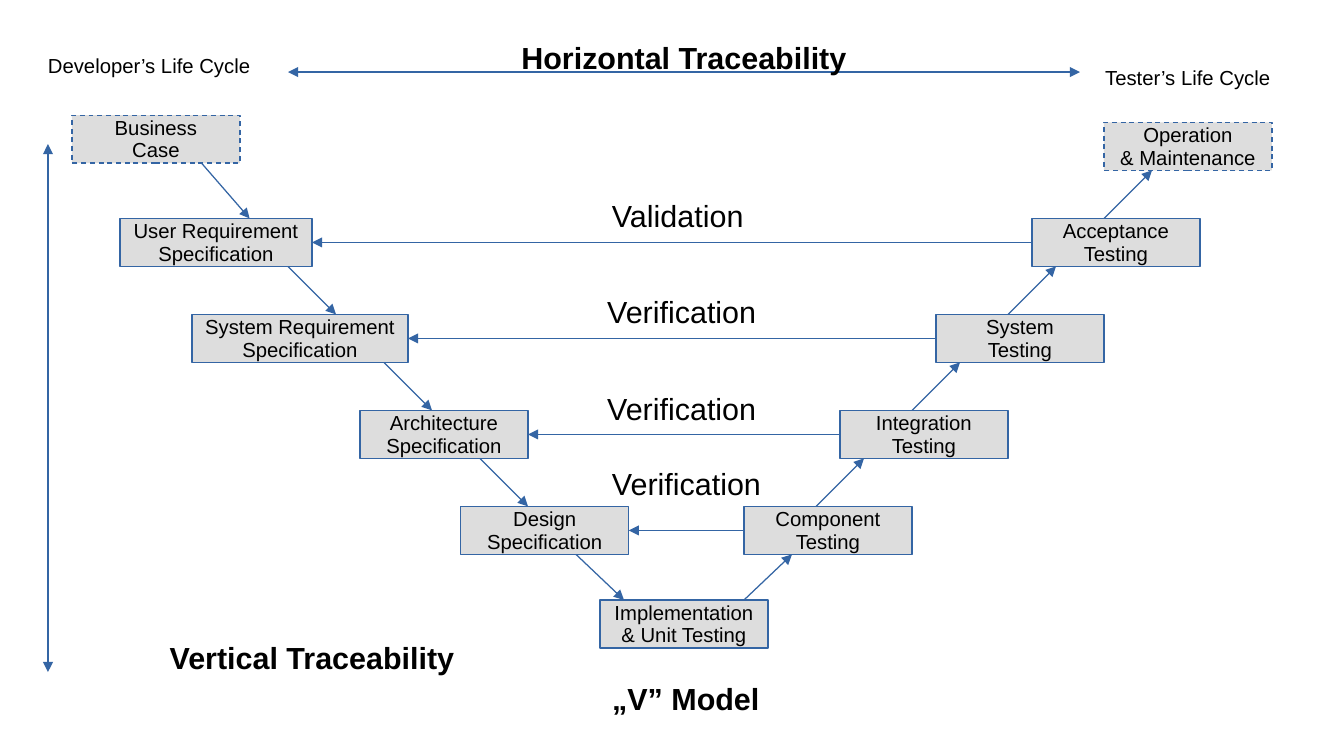
from dataclasses import dataclass

from lxml.etree import SubElement
from pptx import Presentation
from pptx.dml.color import RGBColor
from pptx.enum.dml import MSO_LINE_DASH_STYLE as Dash
from pptx.enum.shapes import MSO_CONNECTOR as Connector, MSO_SHAPE as Shape
from pptx.enum.text import MSO_ANCHOR as Anchor, MSO_AUTO_SIZE as AutoSize, PP_ALIGN as Align
from pptx.oxml.ns import qn
from pptx.util import Cm, Inches, Pt

COLUMNS, ROWS = 56, 31.5  # square grid cells of half a centimetre
LEFT, RIGHT = 1, 3  # connection sites of a rectangle


@dataclass(frozen=True)
class Theme:
    font: str = "Arial"
    ink: RGBColor = RGBColor(0x00, 0x00, 0x00)
    box: RGBColor = RGBColor(0xDD, 0xDD, 0xDD)
    line: RGBColor = RGBColor(0x34, 0x65, 0xA4)
    small: float = 12
    large: float = 18
    line_width: float = 0.75
    line_spacing: float = 0.93


def grid(*cells):
    return [Cm(cell / 2) for cell in cells]


class Diagram:
    def __init__(self, slide, theme):
        self.slide, self.theme = slide, theme

    def set_text(self, shape, text, size, align, anchor, bold=False):
        frame = shape.text_frame
        frame.text = text
        frame.word_wrap = True
        frame.auto_size = AutoSize.NONE
        frame.vertical_anchor = anchor
        frame.margin_left = frame.margin_right = Inches(0.1)
        frame.margin_top = Inches(0.07 if size == self.theme.large else 0.06)
        frame.margin_bottom = Inches(0.05)
        for paragraph in frame.paragraphs:
            paragraph.alignment = align
            paragraph.line_spacing = self.theme.line_spacing
            font = paragraph.font
            font.name, font.size, font.bold = self.theme.font, Pt(size), bold
            font.color.rgb = self.theme.ink

    def stroke(self, line):
        line.color.rgb = self.theme.line
        line.width = Pt(self.theme.line_width)

    def title(self, text, column, row, width, height):
        shape = self.slide.shapes.title
        shape.left, shape.top, shape.width, shape.height = grid(column, row, width, height)
        self.set_text(shape, text, self.theme.large, Align.LEFT, Anchor.TOP, bold=True)

    def label(self, text, column, row, width, size, align=Align.LEFT, bold=False):
        shape = self.slide.shapes.add_textbox(*grid(column, row, width, 2))
        self.set_text(shape, text, size, align, Anchor.TOP, bold)

    def box(self, text, column, row, width=7, dashed=False):
        shape = self.slide.shapes.add_shape(Shape.RECTANGLE, *grid(column, row, width, 2))
        shape.shadow.inherit = False
        shape.fill.solid()
        shape.fill.fore_color.rgb = self.theme.box
        self.stroke(shape.line)
        if dashed:
            shape.line.dash_style = Dash.DASH
        self.set_text(shape, text, self.theme.small, Align.CENTER, Anchor.MIDDLE)
        return shape

    def arrow(self, start=(0, 0), end=(0, 0), both=False):
        connector = self.slide.shapes.add_connector(Connector.STRAIGHT, *grid(*start, *end))
        self.stroke(connector.line)
        properties = connector.element.spPr
        outline = properties.find(qn("a:ln"))
        for tip in ("a:headEnd", "a:tailEnd") if both else ("a:tailEnd",):
            SubElement(outline, qn(tip), type="triangle")
        SubElement(properties, qn("a:effectLst"))
        return connector

    def trace(self, test, specification):
        connector = self.arrow()
        connector.begin_connect(test, LEFT)
        connector.end_connect(specification, RIGHT)


def main():
    presentation = Presentation()
    presentation.slide_width, presentation.slide_height = grid(COLUMNS, ROWS)
    slide = presentation.slides.add_slide(presentation.slide_layouts[5])
    theme = Theme()
    diagram = Diagram(slide, theme)

    # Rows of the V, from the life cycle ends down to the tip
    levels = [9.1 + 4 * level for level in range(4)]
    tip_row = 25
    left_rows = [4.8, *levels, tip_row]
    right_rows = [5.1, *levels, tip_row]

    # Boxes
    diagram.box("Business\nCase", 3, left_rows[0], dashed=True)
    diagram.box("Operation\n& Maintenance", 46, right_rows[0], dashed=True)
    diagram.box("Implementation\n& Unit Testing", 25, tip_row)
    specifications = [
        diagram.box(text, column, row, width)
        for row, (text, column, width) in zip(levels, [
            ("User Requirement Specification", 5, 8),
            ("System Requirement Specification", 8, 9),
            ("Architecture Specification", 15, 7),
            ("Design Specification", 19.2, 7),
        ])
    ]
    tests = [
        diagram.box(text, 43 - 4 * level, row)
        for level, (row, text) in enumerate(zip(levels, [
            "Acceptance\nTesting", "System\nTesting", "Integration\nTesting", "Component Testing",
        ]))
    ]

    # Arrows down the left arm and up the right arm
    for column, upper, lower in zip([8.4, 12, 16, 20, 24], left_rows, left_rows[1:]):
        diagram.arrow((column, upper + 2), (column + 2, lower))
    for column, upper, lower in zip([46, 42, 38, 34, 31], right_rows, right_rows[1:]):
        diagram.arrow((column, lower), (column + 2, upper + 2))

    # Traces from each test back to its specification
    for test, specification in zip(tests, specifications):
        diagram.trace(test, specification)
    for text, column, row in [
        ("Validation", 25, 8),
        ("Verification", 24.8, 12),
        ("Verification", 24.8, 16.05),
        ("Verification", 25, 19.15),
    ]:
        diagram.label(text, column, row, 7.5, theme.large)

    # Life cycle names and traceability axes
    diagram.label("Developer’s Life Cycle", 1.5, 2, 9.6, theme.small)
    diagram.label("Tester’s Life Cycle", 45.55, 2.5, 8.2, theme.small)
    diagram.arrow((12, 3), (45, 3), both=True)
    diagram.arrow((2, 28), (2, 6), both=True)
    diagram.label("Horizontal Traceability", 12, 1.4, 33, theme.large, Align.CENTER, bold=True)
    diagram.label("Vertical Traceability", 2, 26.4, 22, theme.large, Align.CENTER, bold=True)

    # Title
    diagram.title("„V” Model", 25, 28.1, 7.5, 2)

    presentation.save("out.pptx")


if __name__ == "__main__":
    main()
